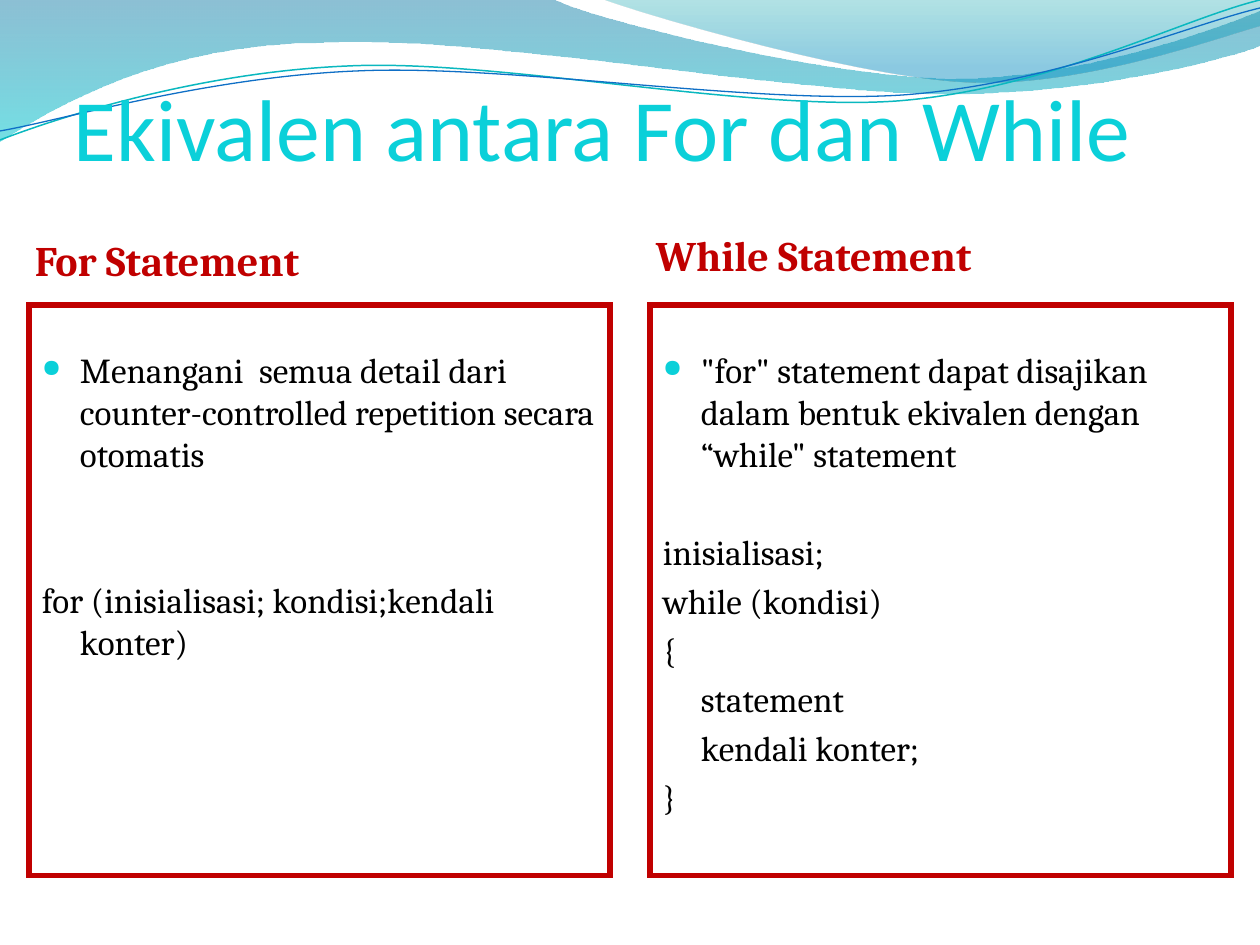
"""Build the slide that compares the for and while statements."""
import lxml.etree
import pptx
import pptx.dml.color
import pptx.enum.shapes
import pptx.enum.text
import pptx.oxml.ns
import pptx.util

SCALE = 914400 // 126
CYAN, RED, BLACK = "0BD0D9", "C00000", "000000"
INDENT = 38
GAP, BLANK_LINE = 4, 27.6

TITLE = "Ekivalen antara For dan While"
COLUMNS = [
    {"heading": "For Statement", "left": 29, "heading_top": 214, "text_width": 581,
     "lines": [
         ("bullet", 0, "Menangani  semua detail dari counter-controlled repetition secara otomatis"),
         ("code", 2, "for (inisialisasi; kondisi;kendali konter)")]},
    {"heading": "While Statement", "left": 650, "heading_top": 209, "text_width": 571,
     "lines": [
         ("bullet", 0, "\"for\" statement dapat disajikan dalam bentuk ekivalen dengan \u201cwhile\" statement"),
         ("code", 1, "inisialisasi;"),
         ("code", 0, "while (kondisi)"),
         ("code", 0, "{"),
         ("nested", 0, "statement"),
         ("nested", 0, "kendali konter;"),
         ("code", 0, "}")]},
]
WAVES = [
    {"outline": [(0, 0), (554, 0), (600, 22, 837, 79, 955, 79), (1074, 79, 1207, 33, 1260, 11),
                 (1260, 46), (1239, 55, 1096, 96, 940, 94), (784, 94, 481, 35, 324, 43),
                 (163, 44, 58, 105, 0, 142)],
     "stops": [(0, "0074A1", 45), (1, "00C6CF", 55)]},
    {"outline": [(604, 0), (641, 14, 859, 78, 969, 82), (1079, 87, 1211, 40, 1260, 26), (1260, 0)],
     "stops": [(0, "00A1A9", 30), (0.8, "008BBF", 45)]},
]
RIPPLES = [
    {"outline": [(0, 140), (60, 117, 199, 72, 349, 66), (498, 59, 747, 112, 898, 101),
                 (1050, 89, 1182, 19, 1260, 0)], "color": "0AB8BF", "weight": 0.85},
    {"outline": [(0, 131), (59, 121, 207, 77, 357, 71), (508, 64, 752, 105, 903, 95),
                 (1053, 84, 1185, 26, 1260, 8)], "color": "0F6FC6", "weight": 0.75},
]


def px(length):
    return pptx.util.Emu(round(length * SCALE))


def rgb(value):
    return pptx.dml.color.RGBColor.from_string(value)


def add_xml(parent, tag, **attributes):
    return lxml.etree.SubElement(parent, pptx.oxml.ns.qn(tag), attributes)


def add_curve(outline, closed):
    ends = [segment[-2:] for segment in outline]
    left, top = (min(values) for values in zip(*ends))
    builder = slide.shapes.build_freeform(*ends[0], scale=SCALE)
    builder.add_line_segments(ends[1:], close=closed)
    curve = builder.convert_to_shape()
    curve.shadow.inherit = False
    steps = list(curve._element.spPr.iter(pptx.oxml.ns.qn("a:lnTo")))
    for step, segment in zip(steps, outline[1:]):
        if len(segment) == 6:
            step.tag = pptx.oxml.ns.qn("a:cubicBezTo")
            for child in list(step):
                step.remove(child)
            for x, y in zip(segment[::2], segment[1::2]):
                add_xml(step, "a:pt", x=str(x - left), y=str(y - top))
    return curve


def add_frame(left, top, width, height, insets, anchor):
    frame = slide.shapes.add_textbox(px(left), px(top), px(width), px(height)).text_frame
    frame.word_wrap = True
    frame.margin_left, frame.margin_top, frame.margin_right, frame.margin_bottom = map(px, insets)
    frame.vertical_anchor = anchor
    return frame


def style(paragraph, size, font, color, bold=False):
    for run in paragraph.runs:
        run.font.size = pptx.util.Pt(size)
        run.font.name = font
        run.font.bold = bold
        run.font.color.rgb = rgb(color)


def indent(paragraph, kind):
    properties = paragraph._p.get_or_add_pPr()
    properties.set("marL", str(px(INDENT)))
    properties.set("indent", str(0 if kind == "nested" else px(-INDENT)))
    if kind == "bullet":
        add_xml(add_xml(properties, "a:buClr"), "a:srgbClr", val=CYAN)
        add_xml(properties, "a:buSzPct", val="70000")
        add_xml(properties, "a:buChar", char="\u25cf")


presentation = pptx.Presentation()
presentation.slide_width, presentation.slide_height = px(1260), px(945)
slide = presentation.slides.add_slide(presentation.slide_layouts[6])
anchors = pptx.enum.text.MSO_ANCHOR

for wave in WAVES:
    surface = add_curve(wave["outline"], True)
    surface.line.fill.background()
    surface.fill.gradient()
    surface.fill.gradient_angle = 270
    for stop, (position, color, opacity) in zip(surface.fill.gradient_stops, wave["stops"]):
        stop.position = position
        stop.color.rgb = rgb(color)
    tints = list(surface._element.spPr.iter(pptx.oxml.ns.qn("a:srgbClr")))
    for tint, (position, color, opacity) in zip(tints, wave["stops"]):
        add_xml(tint, "a:alpha", val=str(opacity * 1000))

for ripple in RIPPLES:
    stroke = add_curve(ripple["outline"], False)
    stroke.fill.background()
    stroke.line.color.rgb = rgb(ripple["color"])
    stroke.line.width = pptx.util.Pt(ripple["weight"])

title = add_frame(74, 86, 1134, 93, (0, 6, 0, 0), anchors.BOTTOM)
title.text = TITLE
style(title.paragraphs[0], 50, "Calibri", CYAN)

for column in COLUMNS:
    left = column["left"]
    heading = add_frame(left, column["heading_top"], 557, 91, (6, 0, 6, 0), anchors.MIDDLE)
    heading.text = column["heading"]
    style(heading.paragraphs[0], 24, "Cambria", RED, True)

    body = add_frame(left, 349, column["text_width"], 495, (13, 0, 13, 6), anchors.TOP)
    body.text = "\n".join(text for kind, blanks, text in column["lines"])
    for paragraph, (kind, blanks, text) in zip(body.paragraphs, column["lines"]):
        paragraph.space_before = pptx.util.Pt(0 if kind == "bullet" else GAP + blanks * BLANK_LINE)
        indent(paragraph, kind)
        style(paragraph, 20, "Cambria", BLACK)

    border = slide.shapes.add_shape(
        pptx.enum.shapes.MSO_SHAPE.RECTANGLE, px(left), px(305), px(581), px(571))
    border.shadow.inherit = False
    border.fill.background()
    border.line.color.rgb = rgb(RED)
    border.line.width = pptx.util.Pt(3)
    add_xml(border.line._get_or_add_ln(), "a:miter", lim="800000")

presentation.save("out.pptx")
